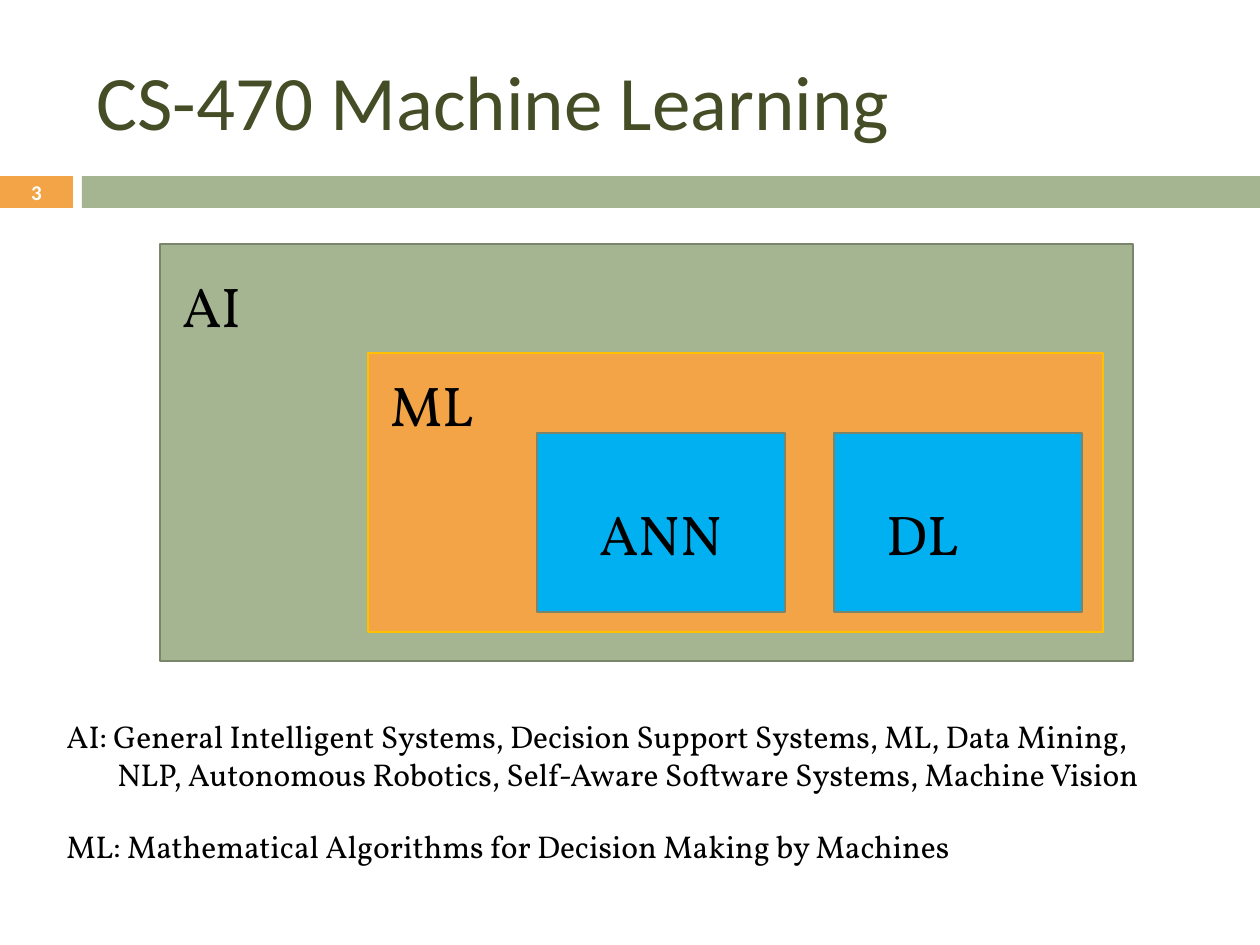
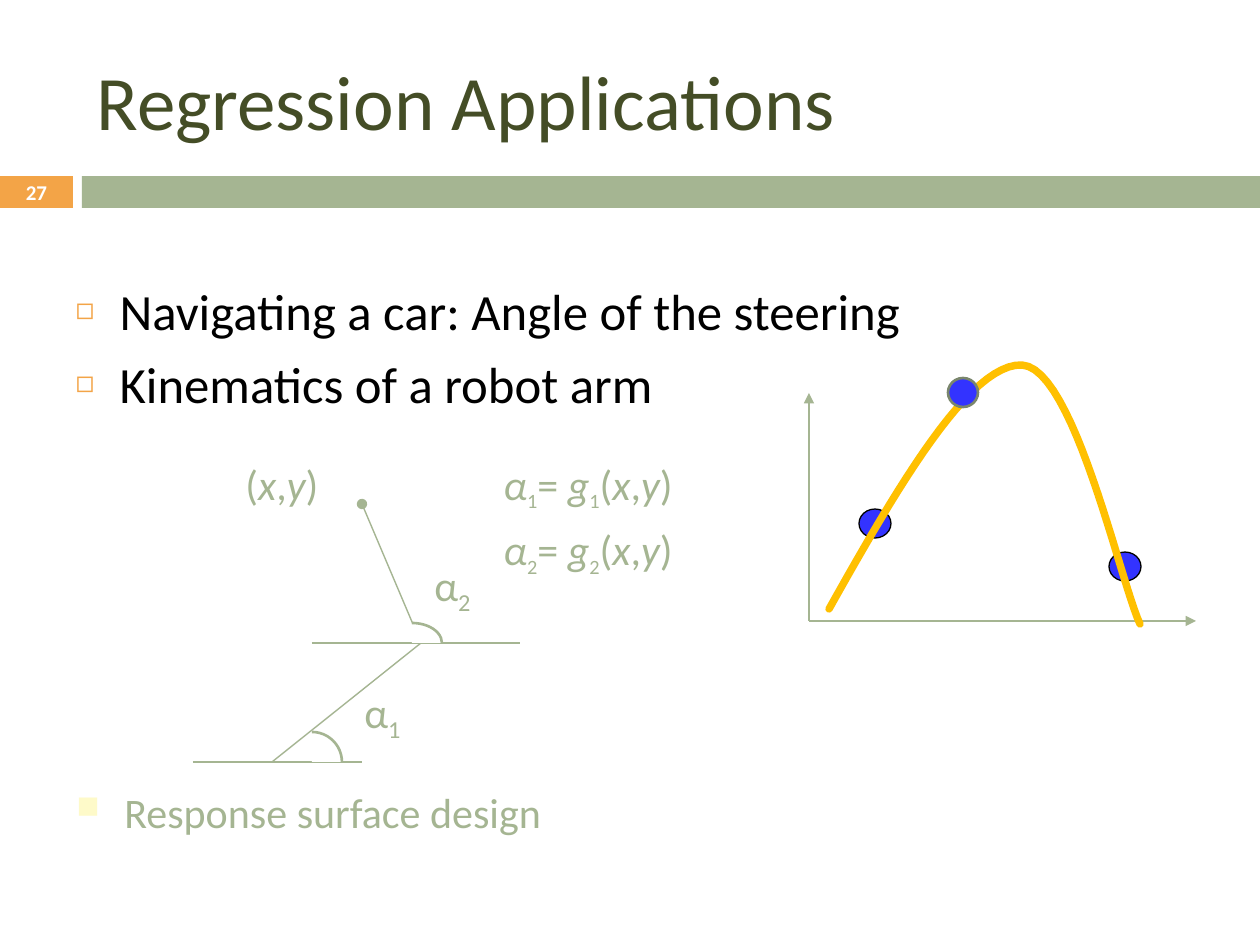
from lxml import etree
from pptx import Presentation
from pptx.dml.color import RGBColor
from pptx.enum.shapes import MSO_CONNECTOR, MSO_SHAPE
from pptx.enum.text import MSO_ANCHOR, MSO_AUTO_SIZE, PP_ALIGN
from pptx.oxml.ns import qn
from pptx.util import Pt

RECTANGLE = MSO_SHAPE.RECTANGLE
OVAL = MSO_SHAPE.OVAL
ARC = MSO_SHAPE.ARC
STRAIGHT = MSO_CONNECTOR.STRAIGHT
TOP = MSO_ANCHOR.TOP
MIDDLE = MSO_ANCHOR.MIDDLE
LEFT = PP_ALIGN.LEFT
CENTER = PP_ALIGN.CENTER
NO_AUTOFIT = MSO_AUTO_SIZE.NONE

PX_PER_INCH = 126
SCALE = 914400 / PX_PER_INCH
SANS = "Calibri"
SERIF = "Vollkorn"
SAGE = "A5B592"
ORANGE = "F3A447"
OLIVE = "444D26"
EDGE = "7A866C"
GOLD = "FFC000"
SKY = "00B0F0"
BLUE = "3333FF"
CREAM = "FEFAC9"
BLACK = "000000"
WHITE = "FFFFFF"
TITLE_ONLY, TITLE_AND_BODY = 5, 1
POINT_RUNS = [("(", ""), ("x", "i"), (",", ""), ("y", "i"), (")", "")]


def px(length):
    return round(length * SCALE)


def color(hex_string):
    return RGBColor.from_string(hex_string)


def place(shape, box):
    shape.left, shape.top, shape.width, shape.height = map(px, box)


def set_line(shape, line_color, width):
    shape.line.color.rgb = color(line_color)
    shape.line.width = Pt(width)


def line_element(shape):
    return shape.element.spPr.find(qn("a:ln"))


def add_box(slide, kind, box, fill, line_color=None, width=1.5):
    shape = slide.shapes.add_shape(kind, *map(px, box))
    shape.shadow.inherit = False
    shape.fill.solid()
    shape.fill.fore_color.rgb = color(fill)
    if line_color:
        set_line(shape, line_color, width)
    else:
        shape.line.fill.background()
    return shape


def add_line(slide, start, end, tail=None):
    connector = slide.shapes.add_connector(STRAIGHT, *map(px, start + end))
    set_line(connector, SAGE, 0.79)
    if tail:
        etree.SubElement(line_element(connector), qn("a:tailEnd"), type=tail)
    etree.SubElement(connector.element.spPr, qn("a:effectLst"))


def add_curve(slide, start, segments, line_color, width, steps=24):
    points, origin = [], start
    for first, second, end in segments:
        for step in range(1, steps + 1):
            t = step / steps
            u = 1 - t
            points.append(tuple(
                px(u**3 * a + 3 * u * u * t * b + 3 * u * t * t * c + t**3 * d)
                for a, b, c, d in zip(origin, first, second, end)))
        origin = end
    builder = slide.shapes.build_freeform(*map(px, start))
    builder.add_line_segments(points, close=False)
    curve = builder.convert_to_shape()
    curve.shadow.inherit = False
    curve.fill.background()
    set_line(curve, line_color, width)
    line_element(curve).set("cap", "rnd")
    etree.SubElement(line_element(curve), qn("a:round"))


def set_bullet(paragraph, character, bullet_color, percent, indent):
    properties = paragraph._p.get_or_add_pPr()
    properties.set("marL", str(px(indent)))
    properties.set("indent", str(-px(indent)))
    bullet = etree.SubElement(properties, qn("a:buClr"))
    etree.SubElement(bullet, qn("a:srgbClr"), val=bullet_color)
    etree.SubElement(properties, qn("a:buSzPct"), val=str(percent * 1000))
    etree.SubElement(properties, qn("a:buChar"), char=character)


def write(shape, lines, size, font, text_color, bold=False, align=LEFT,
          anchor=TOP, gap=0, bullet=None, sub_size=None):
    frame = shape.text_frame
    frame.word_wrap = True
    frame.auto_size = NO_AUTOFIT
    frame.vertical_anchor = anchor
    for index, line in enumerate(lines):
        paragraph = frame.add_paragraph() if index else frame.paragraphs[0]
        paragraph.alignment = align
        paragraph.space_before = Pt(gap if index else 0)
        if bullet:
            set_bullet(paragraph, *bullet)
        for text, style in [(line, "")] if isinstance(line, str) else line:
            run = paragraph.add_run()
            run.text = text
            run.font.name = font
            run.font.size = Pt(size)
            run.font.bold = bold
            run.font.italic = style == "i"
            run.font.color.rgb = color(text_color)
            if style == "sub":
                run.font.size = Pt(sub_size or size)
                run._r.get_or_add_rPr().set("baseline", "-25000")


def add_text(slide, box, lines, size, font, text_color, **options):
    text_box = slide.shapes.add_textbox(*map(px, box))
    write(text_box, lines, size, font, text_color, **options)
    return text_box


def add_slide(presentation, layout, title, number):
    slide = presentation.slides.add_slide(presentation.slide_layouts[layout])
    place(slide.shapes.title, (84, 32, 1124, 136))
    write(slide.shapes.title, [title], 44, SANS, OLIVE, anchor=MIDDLE)
    add_box(slide, RECTANGLE, (82, 176, 1178, 32), SAGE)
    badge = add_box(slide, RECTANGLE, (0, 176, 73, 32), ORANGE)
    frame = badge.text_frame
    frame.margin_left = frame.margin_right = 0
    frame.margin_top = frame.margin_bottom = 0
    write(badge, [number], 12, SANS, WHITE, bold=True, align=CENTER,
          anchor=MIDDLE)
    return slide


def add_nested_fields(slide):
    fields = [
        ("AI", (160, 244, 973, 417), SAGE, EDGE, (170, 265)),
        ("ML", (368, 353, 735, 279), ORANGE, GOLD, (378, 364)),
        ("DL", (834, 433, 248, 179), SKY, EDGE, (874, 493)),
        ("ANN", (537, 433, 248, 179), SKY, EDGE, (587, 493)),
    ]
    for name, box, fill, edge, corner in fields:
        add_box(slide, RECTANGLE, box, fill, edge)
        add_text(slide, corner + (180, 81), [name], 32, SERIF, BLACK)


def add_definitions(slide):
    systems = add_text(slide, (54, 711, 1160, 89), [
        "AI: General Intelligent Systems, Decision Support Systems, ML, Data Mining,",
        "NLP, Autonomous Robotics, Self-Aware Software Systems, Machine Vision",
    ], 18, SERIF, BLACK)
    continuation = systems.text_frame.paragraphs[1]
    continuation._p.get_or_add_pPr().set("marL", str(px(51)))
    add_text(slide, (54, 821, 1160, 51),
             ["ML: Mathematical Algorithms for Decision Making by Machines"],
             18, SERIF, BLACK)


def add_robot_arm(slide):
    base, elbow, hand = (272, 762), (421, 643), (362, 504)
    add_line(slide, (193, 762), (362, 762))
    add_line(slide, base, elbow)
    add_line(slide, elbow, hand, "oval")
    add_line(slide, (312, 643), (520, 643))
    for index, corner in (("1", (352, 680)), ("2", (422, 553))):
        add_text(slide, corner + (80, 63), [[("α", ""), (index, "sub")]],
                 24, SANS, SAGE)
    for center_x, center_y, radius_x, radius_y in ((412, 643, 30, 20),
                                                   (312, 762, 30, 30)):
        add_box(slide, ARC, (center_x - radius_x, center_y - radius_y,
                             2 * radius_x, 2 * radius_y), WHITE, SAGE)
    add_text(slide, (233, 452, 110, 64), [POINT_RUNS], 24, SANS, SAGE)


def add_angle_equations(slide):
    equations = [[("α", "i"), (index, "sub"), ("= ", ""), ("g", "i"),
                  (index, "sub")] + POINT_RUNS for index in "12"]
    add_text(slide, (491, 452, 307, 149), equations, 24, SANS, SAGE,
             gap=6, sub_size=20)


def add_response_plot(slide):
    origin = (809, 621)
    add_line(slide, origin, (1196, 621), "triangle")
    add_line(slide, origin, (809, 393), "triangle")
    for corner in ((859, 509), (1109, 552)):
        add_box(slide, OVAL, corner + (32, 29), BLUE, BLACK, 0.75)
    add_curve(slide, (829, 609), [
        ((898, 486), (970, 363), (1022, 365)),
        ((1074, 368), (1120, 581), (1140, 624)),
    ], GOLD, 4.25)
    add_box(slide, OVAL, (948, 378, 30, 29), BLUE, EDGE)


def main():
    presentation = Presentation()
    presentation.slide_width = px(1260)
    presentation.slide_height = px(945)

    slide = add_slide(presentation, TITLE_ONLY, "CS-470 Machine Learning", "3")
    add_nested_fields(slide)
    add_definitions(slide)

    slide = add_slide(presentation, TITLE_AND_BODY, "Regression Applications", "27")
    body = slide.placeholders[1]
    place(body, (63, 273, 1134, 249))
    write(body, ["Navigating a car: Angle of the steering",
                 "Kinematics of a robot arm"], 29, SANS, BLACK, gap=7,
          bullet=("◻", ORANGE, 60, 44))
    add_angle_equations(slide)
    add_robot_arm(slide)
    add_text(slide, (64, 780, 1134, 89), ["Response surface design"],
             24, SANS, SAGE, bullet=("■", CREAM, 75, 48))
    add_response_plot(slide)

    presentation.save("out.pptx")


if __name__ == "__main__":
    main()
